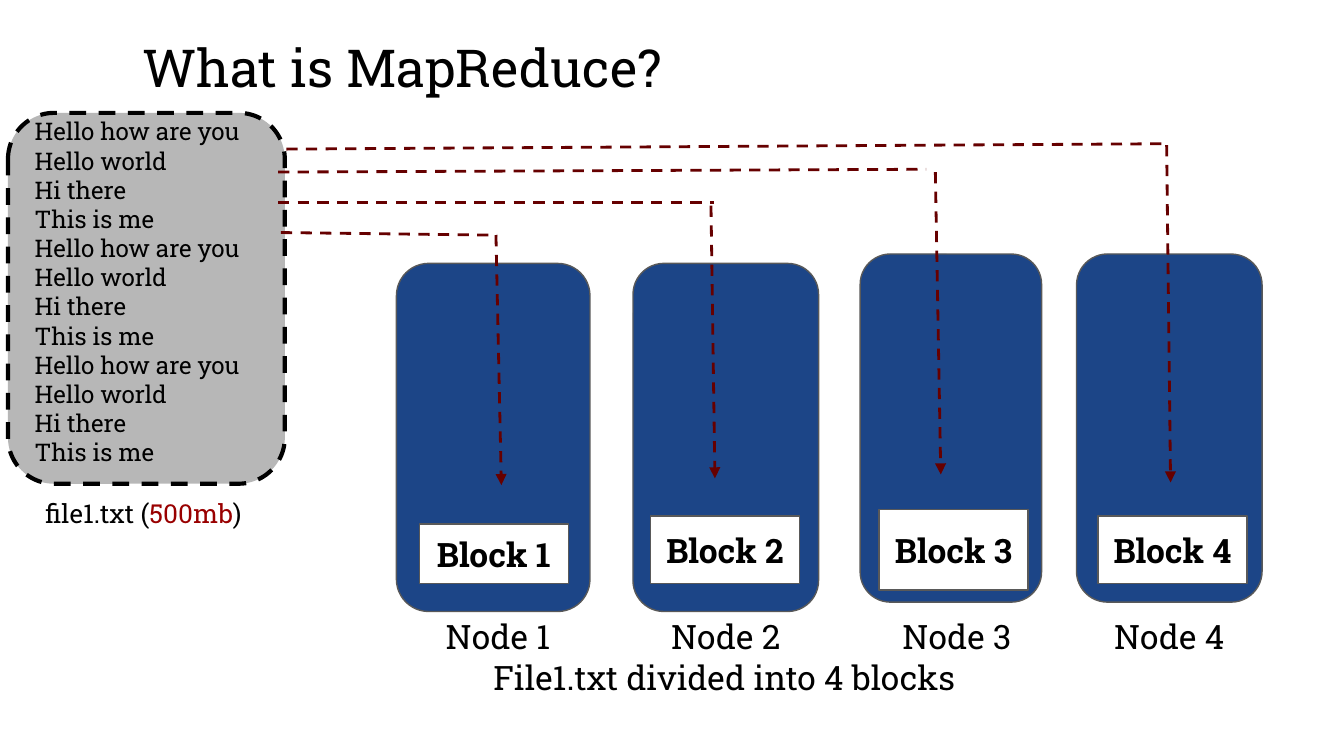
import pptx
import pptx.dml.color
import pptx.enum.dml
import pptx.enum.shapes
import pptx.enum.text
import pptx.oxml
import pptx.oxml.ns
import pptx.util
from lxml import etree

Pt = pptx.util.Pt
SHAPES = pptx.enum.shapes.MSO_SHAPE
ALIGN = pptx.enum.text.PP_ALIGN
DASH = pptx.enum.dml.MSO_LINE.DASH

COLOURS = {
    "black": "000000",
    "white": "FFFFFF",
    "file": "B7B7B7",
    "size": "990000",
    "node": "1C4587",
    "outline": "595959",
    "route": "660000",
}

FILE_LINES = ["Hello how are you", "Hello world", "Hi there", "This is me"] * 3

# Each box is left, top, width, height; each line is start x, start y, end x, end y.
NODES = [
    {"node": (212.4, 141.1, 103.7, 186.5), "label": (226.8, 322.6, 79.9, 36),
     "block": (224.6, 280.8, 79.9, 31.7),
     "across": (150.5, 124.6, 266.4, 126), "down": (265.7, 126, 268.6, 259.9)},
    {"node": (339.1, 141.1, 99.4, 186.5), "label": (339.1, 322.6, 99.4, 36),
     "block": (348.5, 276.5, 79.9, 36),
     "across": (149, 108.7, 382.3, 108.7), "down": (380.9, 110.2, 383, 256.3)},
    {"node": (460.8, 136.1, 97.2, 186.5), "label": (460.8, 322.6, 103.7, 36),
     "block": (470.9, 272.9, 79.9, 43.2),
     "across": (149, 92.2, 496.1, 90.7), "down": (501.1, 92.2, 504, 254.2)},
    {"node": (576.7, 136.1, 99.4, 186.5), "label": (572.4, 322.6, 108, 36),
     "block": (588.2, 276.5, 79.9, 36),
     "across": (153.4, 79.9, 626.4, 77), "down": (625, 77.8, 627.1, 258.5)},
]


def colour(name):
    return pptx.dml.color.RGBColor.from_string(COLOURS[name])


def points(values):
    return [Pt(value) for value in values]


class SlideBuilder:
    font_name = "Roboto Slab"
    inset = 7.2

    def __init__(self, slide):
        self.slide = slide

    def fill_text(self, shape, paragraphs, size, bold=False, align=ALIGN.LEFT, **frame_format):
        """Fill a shape with paragraphs, each a list of (text, colour name) runs."""
        frame = shape.text_frame
        settings = {f"margin_{side}": Pt(self.inset)
                    for side in ("left", "top", "right", "bottom")}
        settings.update(word_wrap=True, **frame_format)
        for name, value in settings.items():
            setattr(frame, name, value)
        for index, runs in enumerate(paragraphs):
            paragraph = frame.add_paragraph() if index else frame.paragraphs[0]
            paragraph.alignment = align
            for text, colour_name in runs:
                run = paragraph.add_run()
                run.text = text
                font_format = {"name": self.font_name, "size": Pt(size), "bold": bold}
                for name, value in font_format.items():
                    setattr(run.font, name, value)
                run.font.color.rgb = colour(colour_name)

    def text(self, box, runs, size, align=ALIGN.LEFT):
        shape = self.slide.shapes.add_textbox(*points(box))
        self.fill_text(shape, [runs], size, align=align,
                       auto_size=pptx.enum.text.MSO_AUTO_SIZE.SHAPE_TO_FIT_TEXT)

    def box(self, kind, box, fill, line="outline", width=0.75, dash=None):
        shape = self.slide.shapes.add_shape(kind, *points(box))
        shape.shadow.inherit = False
        shape.fill.solid()
        shape.fill.fore_color.rgb = colour(fill)
        self.outline(shape.line, line, width, dash)
        return shape

    def outline(self, line, name, width, dash):
        line.color.rgb = colour(name)
        line.width = Pt(width)
        line.dash_style = dash

    def route(self, ends, arrow=False):
        connector = self.slide.shapes.add_connector(
            pptx.enum.shapes.MSO_CONNECTOR.STRAIGHT, *points(ends))
        self.outline(connector.line, "route", 1.5, DASH)
        properties = connector.element.spPr
        if arrow:
            etree.SubElement(properties.find(pptx.oxml.ns.qn("a:ln")),
                             pptx.oxml.ns.qn("a:tailEnd"), type="triangle")
        etree.SubElement(properties, pptx.oxml.ns.qn("a:effectLst"))


def main():
    presentation = pptx.Presentation()
    presentation.slide_width = Pt(720)
    presentation.slide_height = Pt(405)
    builder = SlideBuilder(presentation.slides.add_slide(presentation.slide_layouts[6]))
    middle = pptx.enum.text.MSO_ANCHOR.MIDDLE

    builder.text((69.1, 11.5, 332.6, 48.2), [("What is MapReduce?", "black")], 28)
    builder.text((193, 344.9, 390.2, 36), [("File1.txt divided into 4 blocks", "black")],
                 18, ALIGN.CENTER)

    file_box = builder.box(SHAPES.ROUNDED_RECTANGLE, (4.3, 60.5, 148.3, 198.7),
                           "file", "black", 2.25, DASH)
    builder.fill_text(file_box, [[(line, "black")] for line in FILE_LINES], 13,
                      vertical_anchor=middle)
    file_box.text_frame.margin_bottom = Pt(14.4)
    builder.text((17.3, 259.2, 122.4, 31.7),
                 [("file1.txt (", "black"), ("500mb", "size"), (")", "black")], 14)

    for number, node in enumerate(NODES, 1):
        builder.text(node["label"], [(f"Node {number}", "black")], 18, ALIGN.CENTER)
        builder.box(SHAPES.ROUNDED_RECTANGLE, node["node"], "node")
        block = builder.box(SHAPES.RECTANGLE, node["block"], "white")
        builder.fill_text(block, [[(f"Block {number}", "black")]], 18, bold=True,
                          align=ALIGN.CENTER, vertical_anchor=middle)
        builder.route(node["across"])
        builder.route(node["down"], arrow=True)

    presentation.save("out.pptx")


if __name__ == "__main__":
    main()
